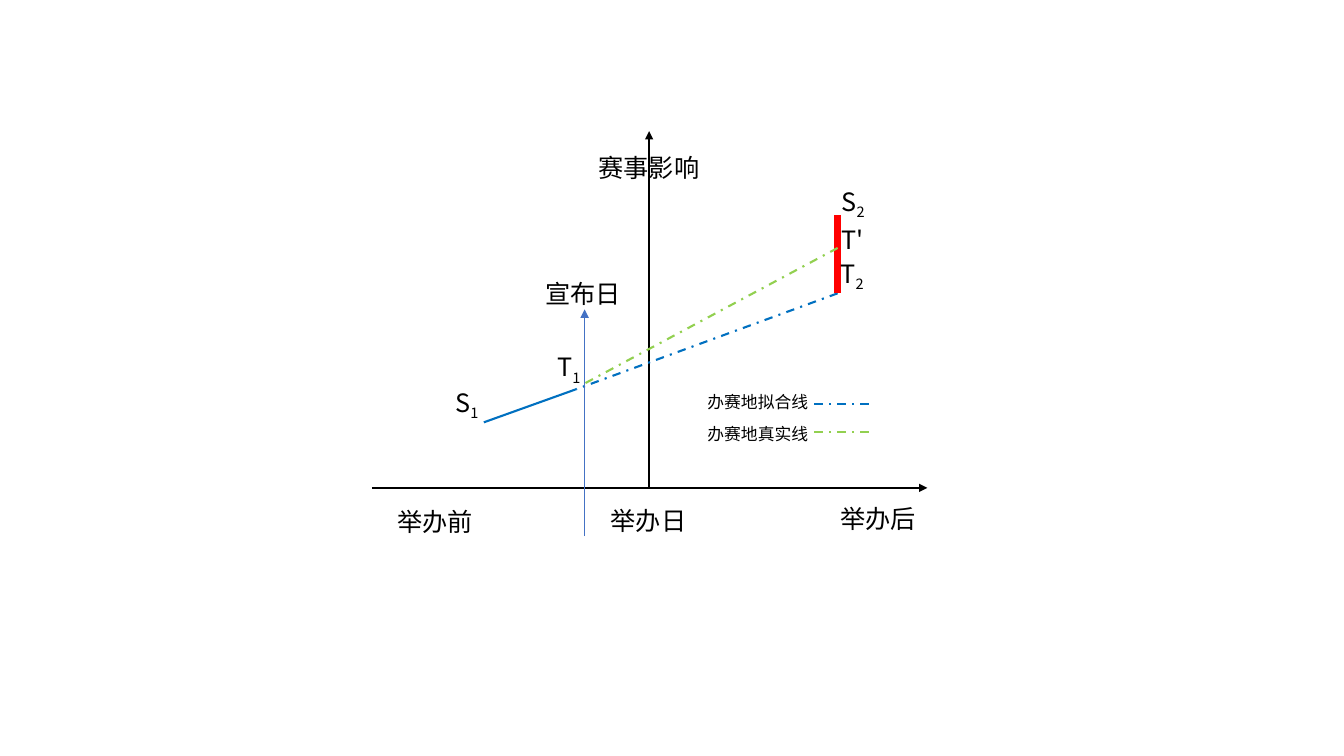
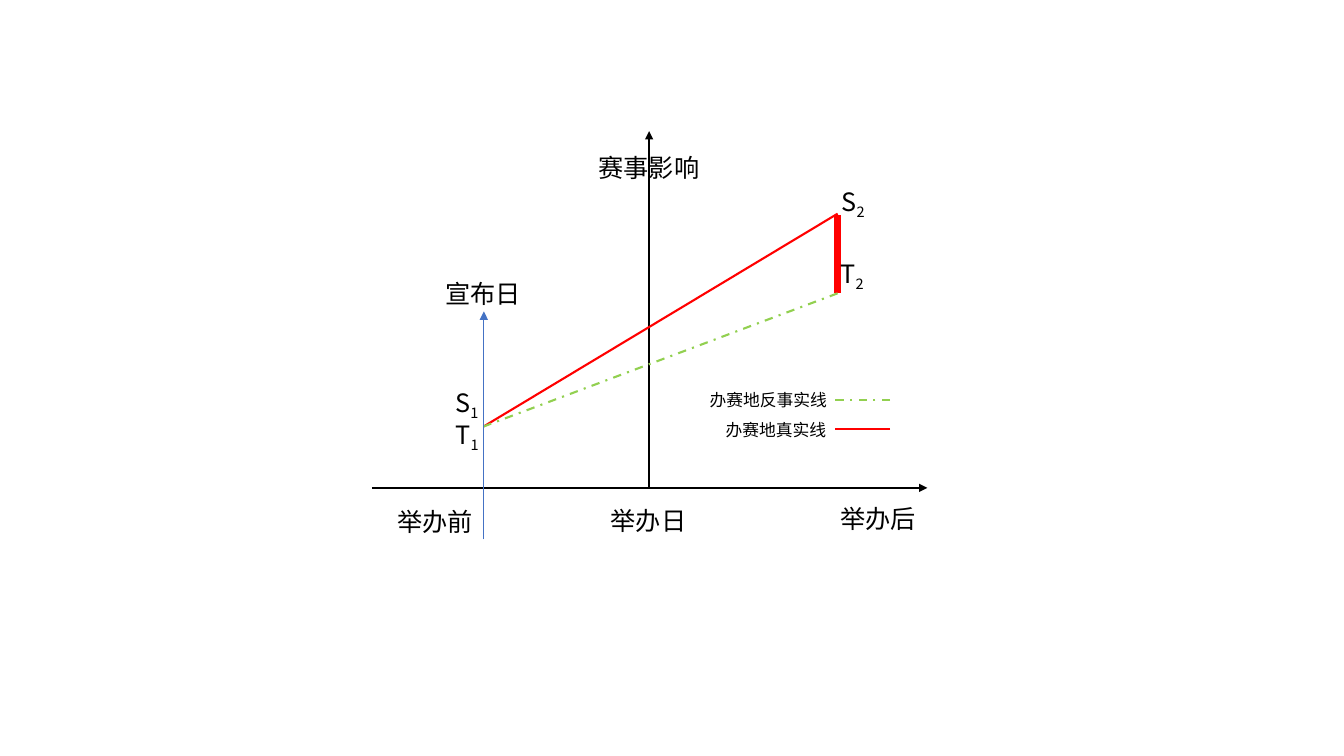
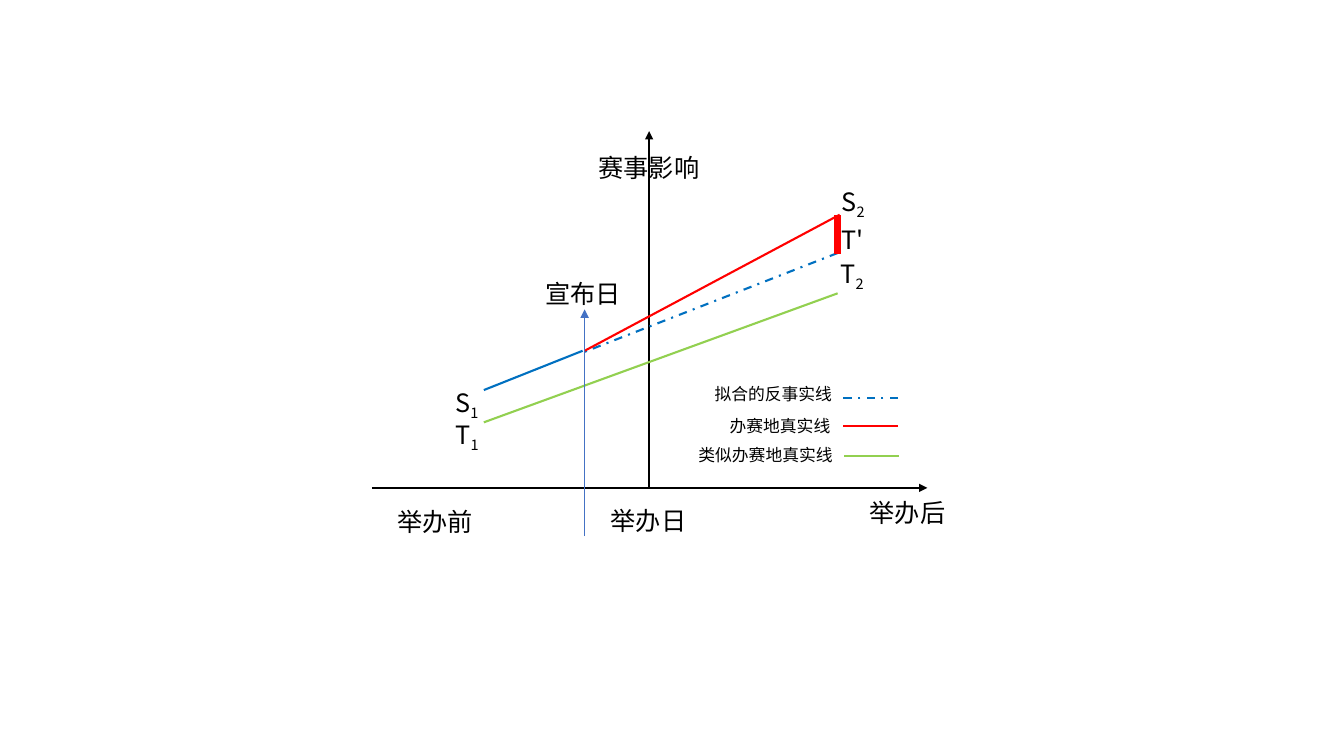
from dataclasses import dataclass
from typing import Optional

from lxml.etree import SubElement
from pptx import Presentation
from pptx.dml.color import RGBColor
from pptx.enum.dml import MSO_LINE_DASH_STYLE as Dash
from pptx.enum.shapes import MSO_CONNECTOR as Connector
from pptx.enum.text import MSO_AUTO_SIZE as AutoSize
from pptx.oxml.ns import qn
from pptx.slide import Slide
from pptx.util import Inches, Pt

Point = tuple[float, float]


@dataclass(frozen=True)
class Theme:
    font: str = "Noto Sans CJK SC"
    black: str = "000000"
    blue: str = "0070C0"
    red: str = "FF0000"
    green: str = "92D050"
    marker: str = "4472C4"
    label_size: int = 18
    legend_size: int = 12
    thin: float = 0.5
    normal: float = 1.5
    thick: float = 5


THEME = Theme()

# Positions count cells of a square grid, ten cells to the inch.
CELL = Inches(0.1)
COLUMNS, ROWS = 133.33, 75
INSET = 1.0
SYMBOL_WIDTH = 4.8
ORIGIN: Point = (64.4, 48.4)
AXIS_LEFT, AXIS_RIGHT, AXIS_TOP = 36.9, 92.0, 13.0
START, ANNOUNCED, END = 48.0, 58.0, 83.1
TOP_END, BOTTOM_END = 21.3, 29.1


@dataclass(frozen=True)
class Style:
    color: str
    weight: float = THEME.normal
    dashed: bool = False
    arrow: bool = False


AXIS = Style(THEME.black, arrow=True)
ANNOUNCEMENT = Style(THEME.marker, THEME.thin, arrow=True)
EFFECT = Style(THEME.red, THEME.thick)
BLUE, RED, GREEN = Style(THEME.blue), Style(THEME.red), Style(THEME.green)
BLUE_DASHED = Style(THEME.blue, dashed=True)
GREEN_DASHED = Style(THEME.green, dashed=True)


@dataclass(frozen=True)
class Stroke:
    begin: Point
    end: Point
    style: Style


@dataclass(frozen=True)
class Label:
    text: str
    left: float
    top: float
    subscript: str = ""
    size: int = THEME.label_size


@dataclass(frozen=True)
class LegendEntry:
    text: str
    left: float
    top: float
    sample_right: float
    sample_row: float
    style: Style


@dataclass(frozen=True)
class Diagram:
    announcement: Stroke
    announcement_left: float
    strokes: list[Stroke]
    symbols: list[Label]
    legend: list[LegendEntry]
    after_at: Point = (82.4, 49.4)


S1 = Label("S", 44.2, 37.9, "1")
T1 = Label("T", 44.2, 41.1, "1")
S2 = Label("S", 82.5, 18.0, "2")
T2 = Label("T", 82.4, 25.1, "2")
T_PRIME = Label("T'", 82.5, 21.8)

AXES = [
    Stroke(ORIGIN, (ORIGIN[0], AXIS_TOP), AXIS),
    Stroke((AXIS_LEFT, ORIGIN[1]), (AXIS_RIGHT, ORIGIN[1]), AXIS),
]
AXIS_LABELS = [
    Label("举办前", 38.4, 49.7),
    Label("举办日", 59.6, 49.6),
    Label("赛事影响", 58.4, 14.6),
]
FULL_EFFECT = Stroke((END, BOTTOM_END), (END, TOP_END), EFFECT)
MID_ANNOUNCEMENT = Stroke((ANNOUNCED, 53.2), (ANNOUNCED, 30.7), ANNOUNCEMENT)

DIAGRAMS = [
    Diagram(
        MID_ANNOUNCEMENT, 53.1,
        [
            Stroke((57.2, 38.6), (START, 41.9), BLUE),
            Stroke((END, BOTTOM_END), (57.2, 38.6), BLUE_DASHED),
            FULL_EFFECT,
            Stroke((END, 24.6), (57.9, 38.1), GREEN_DASHED),
        ],
        [S1, Label("T", 54.3, 34.4, "1"), S2, T_PRIME, T2],
        [
            LegendEntry("办赛地拟合线", 69.2, 38.4, 86.2, 40.1, BLUE_DASHED),
            LegendEntry("办赛地真实线", 69.2, 41.5, 86.2, 42.9, GREEN_DASHED),
        ],
    ),
    Diagram(
        Stroke((START, 53.5), (START, 30.9), ANNOUNCEMENT), 43.2,
        [
            Stroke((END, 21.2), (START, 42.3), RED),
            FULL_EFFECT,
            Stroke((END, BOTTOM_END), (START, 42.3), GREEN_DASHED),
        ],
        [S1, T1, S2, T2],
        [
            LegendEntry("办赛地反事实线", 69.4, 38.2, 88.3, 39.7, GREEN_DASHED),
            LegendEntry("办赛地真实线", 71.0, 41.1, 88.3, 42.6, RED),
        ],
    ),
    Diagram(
        MID_ANNOUNCEMENT, 53.1,
        [
            Stroke((END, BOTTOM_END), (START, 41.9), GREEN),
            Stroke((END, 25.1), (57.5, 35.1), BLUE_DASHED),
            Stroke((END, 25.2), (END, TOP_END), EFFECT),
            Stroke((83.3, TOP_END), (ANNOUNCED, 34.8), RED),
            Stroke((57.8, 34.8), (START, 38.7), BLUE),
        ],
        [S1, T1, S2, T_PRIME, T2],
        [
            LegendEntry("拟合的反事实线", 69.9, 37.6, 89.1, 39.5, BLUE_DASHED),
            LegendEntry("办赛地真实线", 71.4, 40.7, 89.1, 42.3, RED),
            LegendEntry("类似办赛地真实线", 68.3, 43.6, 89.2, 45.2, GREEN),
        ],
        after_at=(85.3, 48.8),
    ),
]


def cells(count: float) -> int:
    return round(count * CELL)


def draw_stroke(slide: Slide, stroke: Stroke) -> None:
    style = stroke.style
    connector = slide.shapes.add_connector(
        Connector.STRAIGHT, *map(cells, stroke.begin + stroke.end))
    line = connector.line
    line.color.rgb = RGBColor.from_string(style.color)
    line.width = Pt(style.weight)
    if style.dashed:
        line.dash_style = Dash.DASH_DOT
    properties = connector._element.spPr
    if style.arrow:
        SubElement(properties.find(qn("a:ln")), qn("a:tailEnd"), type="triangle")
    SubElement(properties, qn("a:effectLst"))


def draw_label(slide: Slide, label: Label) -> None:
    """Latin symbols share one width; Chinese words get one em a character."""
    is_symbol = label.text.isascii()
    em = label.size / 7.2
    width = SYMBOL_WIDTH if is_symbol else len(label.text) * em + 2 * INSET
    height = 1.5 * em + INSET
    box = slide.shapes.add_textbox(*map(cells, (label.left, label.top, width, height)))
    frame = box.text_frame
    frame.word_wrap = is_symbol
    frame.auto_size = AutoSize.SHAPE_TO_FIT_TEXT
    paragraph = frame.paragraphs[0]
    add_run(paragraph, label.text, label.size)
    if label.subscript:
        add_run(paragraph, label.subscript, label.size, baseline=-25000)


def add_run(paragraph, text: str, size: int, baseline: Optional[int] = None) -> None:
    run = paragraph.add_run()
    run.text = text
    run.font.size = Pt(size)
    run.font.color.rgb = RGBColor.from_string(THEME.black)
    run.font.name = THEME.font
    properties = run._r.get_or_add_rPr()
    SubElement(properties, qn("a:ea"), typeface=THEME.font)
    if baseline is not None:
        properties.set("baseline", str(baseline))


def draw_legend_entry(slide: Slide, entry: LegendEntry) -> None:
    length = 5.9 if entry.style.dashed else 5.5
    right, row = entry.sample_right, entry.sample_row
    draw_stroke(slide, Stroke((right, row), (right - length, row), entry.style))
    draw_label(slide, Label(entry.text, entry.left, entry.top, size=THEME.legend_size))


def draw_diagram(slide: Slide, diagram: Diagram) -> None:
    for stroke in [*AXES, *diagram.strokes, diagram.announcement]:
        draw_stroke(slide, stroke)
    dates = [
        Label("举办后", *diagram.after_at),
        Label("宣布日", diagram.announcement_left, 27.1),
    ]
    for label in [*AXIS_LABELS, *dates, *diagram.symbols]:
        draw_label(slide, label)
    for entry in diagram.legend:
        draw_legend_entry(slide, entry)


def main() -> None:
    presentation = Presentation()
    presentation.slide_width = cells(COLUMNS)
    presentation.slide_height = cells(ROWS)
    blank_layout = presentation.slide_layouts[6]
    for diagram in DIAGRAMS:
        draw_diagram(presentation.slides.add_slide(blank_layout), diagram)
    presentation.save("out.pptx")


if __name__ == "__main__":
    main()
